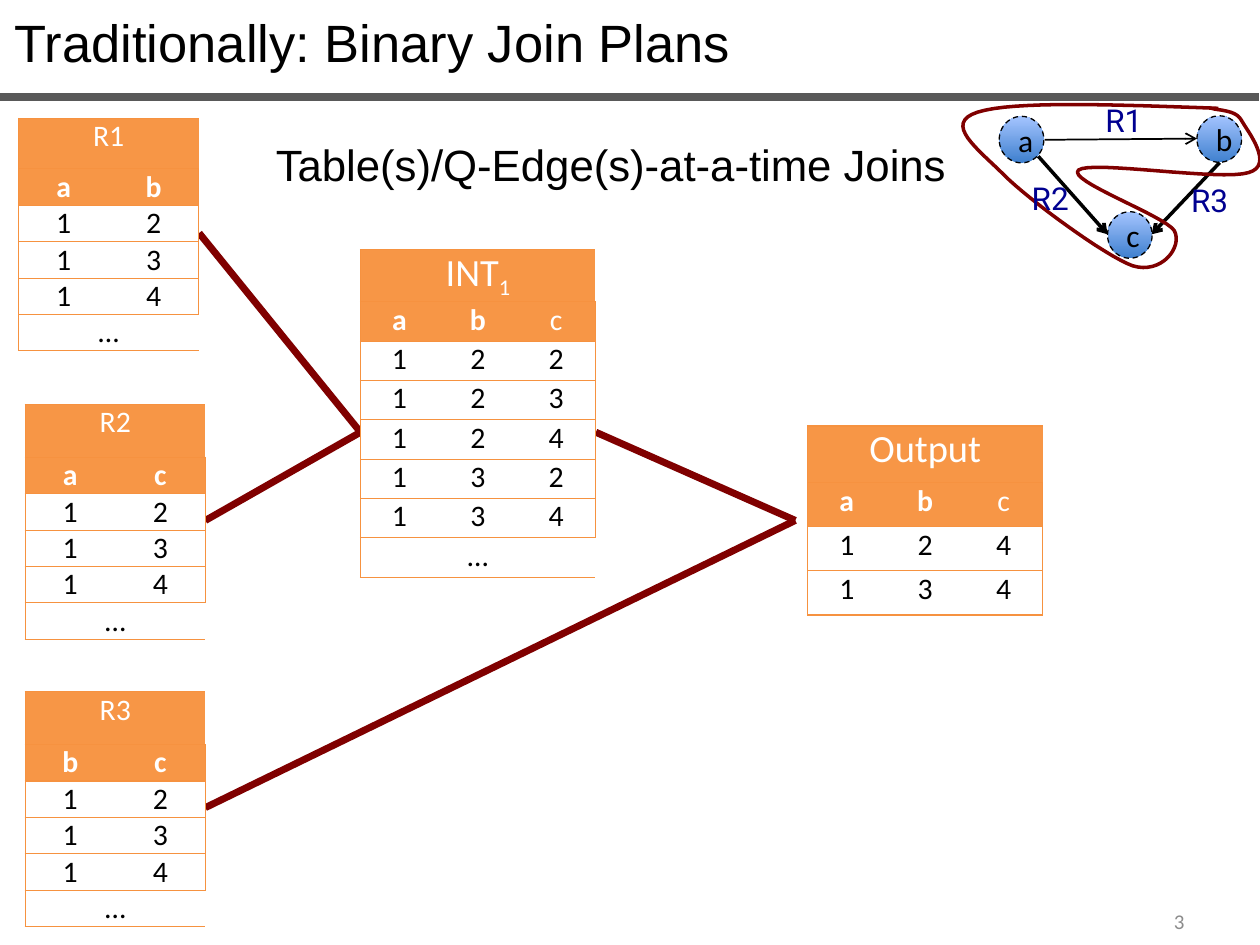
from lxml.etree import SubElement
from pptx import Presentation
from pptx.dml.color import RGBColor
from pptx.enum.dml import MSO_LINE
from pptx.enum.shapes import MSO_CONNECTOR, MSO_SHAPE
from pptx.enum.text import MSO_ANCHOR as ANCHOR, PP_ALIGN as ALIGN
from pptx.oxml import parse_xml
from pptx.oxml.ns import nsdecls, qn
from pptx.util import Pt

COLORS = {
    "black": "000000", "white": "FFFFFF", "rule": "595959", "join": "800000",
    "header": "F79646", "border": "F69240", "relation": "000090",
    "node_dark": "3F80CE", "node_light": "A4C4FF", "page": "8C8C8C",
}
RGB = {name: RGBColor.from_string(value) for name, value in COLORS.items()}

prs = Presentation()
prs.slide_width, prs.slide_height = Pt(720), Pt(540)
slide = prs.slides.add_slide(prs.slide_layouts[6])
shapes = slide.shapes


def write(frame, text, size, color="black", align=ALIGN.CENTER, font="Calibri", bold=False):
    """Append a run to the first paragraph of a text frame and return it."""
    paragraph = frame.paragraphs[0]
    paragraph.alignment = align
    run = paragraph.add_run()
    run.text = text
    for attribute, value in {"size": Pt(size), "name": font, "bold": bold}.items():
        setattr(run.font, attribute, value)
    run.font.color.rgb = RGB[color]
    return run


def add_line(start, end, color, width, arrow=False):
    line = shapes.add_connector(MSO_CONNECTOR.STRAIGHT, *map(Pt, start + end))
    line.line.color.rgb = RGB[color]
    line.line.width = Pt(width)
    properties = line._element.spPr
    if arrow:
        SubElement(properties.find(qn("a:ln")), qn("a:tailEnd"), type="arrow")
    SubElement(properties, qn("a:effectLst"))


# Title rule and join plan
add_line((-0.5, 55.5), (719.5, 55.5), "rule", 4.5)
r1_out, r2_out, r3_out = (113.8, 133.2), (117.4, 297.4), (117.4, 461.5)
int_in, int_out, output_in = (206, 247), (340.5, 247), (454.5, 297.4)
for start, end in [(r2_out, int_in), (int_in, r1_out),
                   (output_in, int_out), (output_in, r3_out)]:
    add_line(start, end, "join", 4)

# Relations: name, left, top, column width, title size, title and row heights, rows
PAIRS = ["12", "13", "14", "…"]
tables = [
    ("R1", 10.6, 67.7, 51.5, 17, 28.8, 20.5, ["ab"] + PAIRS),
    ("R2", 14.4, 231.1, 51.5, 17, 30.2, 20.5, ["ac"] + PAIRS),
    ("R3", 14.4, 395.3, 51.5, 17, 30.2, 20.5, ["bc"] + PAIRS),
    ("INT", 205.9, 142.6, 44.8, 22, 28.8, 22.5,
     ["abc", "122", "123", "124", "132", "134", "…"]),
    ("Output", 461.5, 243.4, 44.8, 22, 32.4, 25.2, ["abc", "124", "134"]),
]
for name, left, top, col_width, title_size, title_height, row_height, rows in tables:
    n_cols, n_rows = len(rows[0]), len(rows) + 1
    table = shapes.add_table(
        n_rows, n_cols, Pt(left), Pt(top), Pt(col_width * n_cols),
        Pt(title_height + row_height * len(rows))).table
    table.first_row = table.horz_banding = False
    for column in table.columns:
        column.width = Pt(col_width)
    for r, values in enumerate([[name]] + rows):
        table.rows[r].height = Pt(row_height if r else title_height)
        merged = len(values) == 1
        if merged:
            table.cell(r, 0).merge(table.cell(r, n_cols - 1))
        for c in range(n_cols):
            cell = table.cell(r, c)
            cell.margin_top = cell.margin_bottom = 0
            visible = {"L": c == 0, "R": c == n_cols - 1, "T": True, "B": True}
            for side, shown in visible.items():
                paint = (f'<a:solidFill><a:srgbClr val="{COLORS["border"]}"/></a:solidFill>'
                         if shown else "<a:noFill/>")
                cell._tc.get_or_add_tcPr().append(parse_xml(
                    f'<a:ln{side} {nsdecls("a")} w="9525">{paint}</a:ln{side}>'))
            cell.fill.solid()
            cell.fill.fore_color.rgb = RGB["header" if r < 2 else "white"]
            if c < len(values):
                write(cell.text_frame, values[c], 17 if r else title_size,
                      "white" if r < 2 else "black", bold=r == 1 and c < 2)
    if name == "INT":
        subscript = write(table.cell(0, 0).text_frame, "1", title_size, "white")
        subscript.font._element.set("baseline", "-25000")

# Query graph
for node, left, top in [("a", 571, 66.5), ("b", 684, 66.2), ("c", 632.9, 121)]:
    circle = shapes.add_shape(MSO_SHAPE.OVAL, Pt(left), Pt(top), Pt(25.5), Pt(26.6))
    circle.shadow.inherit = False
    circle.fill.gradient()
    circle.fill.gradient_angle = 90
    for stop, color, position in zip(circle.fill.gradient_stops,
                                     ("node_dark", "node_light"), (0, 1)):
        stop.color.rgb = RGB[color]
        stop.position = position
    circle.line.color.rgb = RGB["black"]
    circle.line.width = Pt(0.75)
    circle.line.dash_style = MSO_LINE.DASH
    circle.text_frame.vertical_anchor = ANCHOR.MIDDLE
    write(circle.text_frame, node, 18)

for start, end, width in [((596.9, 79.9), (684, 79.2), 1),
                          ((593.3, 89.3), (632.9, 133.9), 0),
                          ((697, 92.9), (658.1, 133.9), 0)]:
    add_line(start, end, "black", width, arrow=True)

# Loop around the joined edges: Bezier segments in inches, sampled evenly
INCH, STEPS = 72, 16
loop_start = (9.67, 0.86)
loop_curves = [
    ((8.85, 0.83), (8.04, 0.8), (7.76, 0.89)),
    ((7.48, 0.98), (7.76, 1.18), (7.97, 1.39)),
    ((8.17, 1.59), (8.77, 2.03), (8.99, 2.11)),
    ((9.22, 2.18), (9.39, 1.96), (9.32, 1.83)),
    ((9.24, 1.71), (8.46, 1.43), (8.56, 1.35)),
    ((8.66, 1.27), (9.69, 1.44), (9.91, 1.37)),
    ((10.12, 1.31), (9.9, 1.04), (9.85, 0.95)),
    ((9.8, 0.86), (9.62, 0.88), (9.6, 0.85)),
]
points = [loop_start]
for curve in loop_curves:
    anchors = (points[-1],) + curve
    for step in range(1, STEPS + 1):
        t = step / STEPS
        weights = ((1 - t) ** 3, 3 * t * (1 - t) ** 2, 3 * t ** 2 * (1 - t), t ** 3)
        points.append(tuple(sum(w * p[axis] for w, p in zip(weights, anchors))
                            for axis in (0, 1)))
outline = [(Pt(x * INCH), Pt(y * INCH)) for x, y in points]
builder = shapes.build_freeform(*outline[0])
builder.add_line_segments(outline[1:], close=False)
loop = builder.convert_to_shape()
loop.shadow.inherit = False
loop.fill.background()
loop.line.color.rgb = RGB["join"]
loop.line.width = Pt(2)

# Text: wording, box, size, colour, alignment, font, anchor, wrap
labels = [
    ("Traditionally: Binary Join Plans", (1.4, 2.2, 715.7, 43.9),
     30, "black", ALIGN.LEFT, "Arial", ANCHOR.TOP, True),
    ("Table(s)/Q-Edge(s)-at-a-time Joins", (150.5, 74.9, 404.6, 37.4),
     25, "black", ALIGN.LEFT, "Arial", ANCHOR.TOP, False),
    ("R1", (612.7, 54, 59, 29.5), 18, "relation", ALIGN.CENTER, "Roboto", ANCHOR.TOP, True),
    ("R2", (576.7, 98.6, 46.8, 29.5), 18, "relation", ALIGN.CENTER, "Roboto", ANCHOR.TOP, True),
    ("R3", (661.7, 100.1, 59, 29.5), 18, "relation", ALIGN.CENTER, "Roboto", ANCHOR.TOP, True),
    ("3", (516.2, 511.9, 167.8, 28.8), 12, "page", ALIGN.RIGHT, "Calibri", ANCHOR.MIDDLE, True),
]
for text, box, size, color, align, font, anchor, wrap in labels:
    frame = shapes.add_textbox(*map(Pt, box)).text_frame
    for attribute, value in {"word_wrap": wrap, "vertical_anchor": anchor}.items():
        setattr(frame, attribute, value)
    write(frame, text, size, color, align, font)

prs.save("out.pptx")
